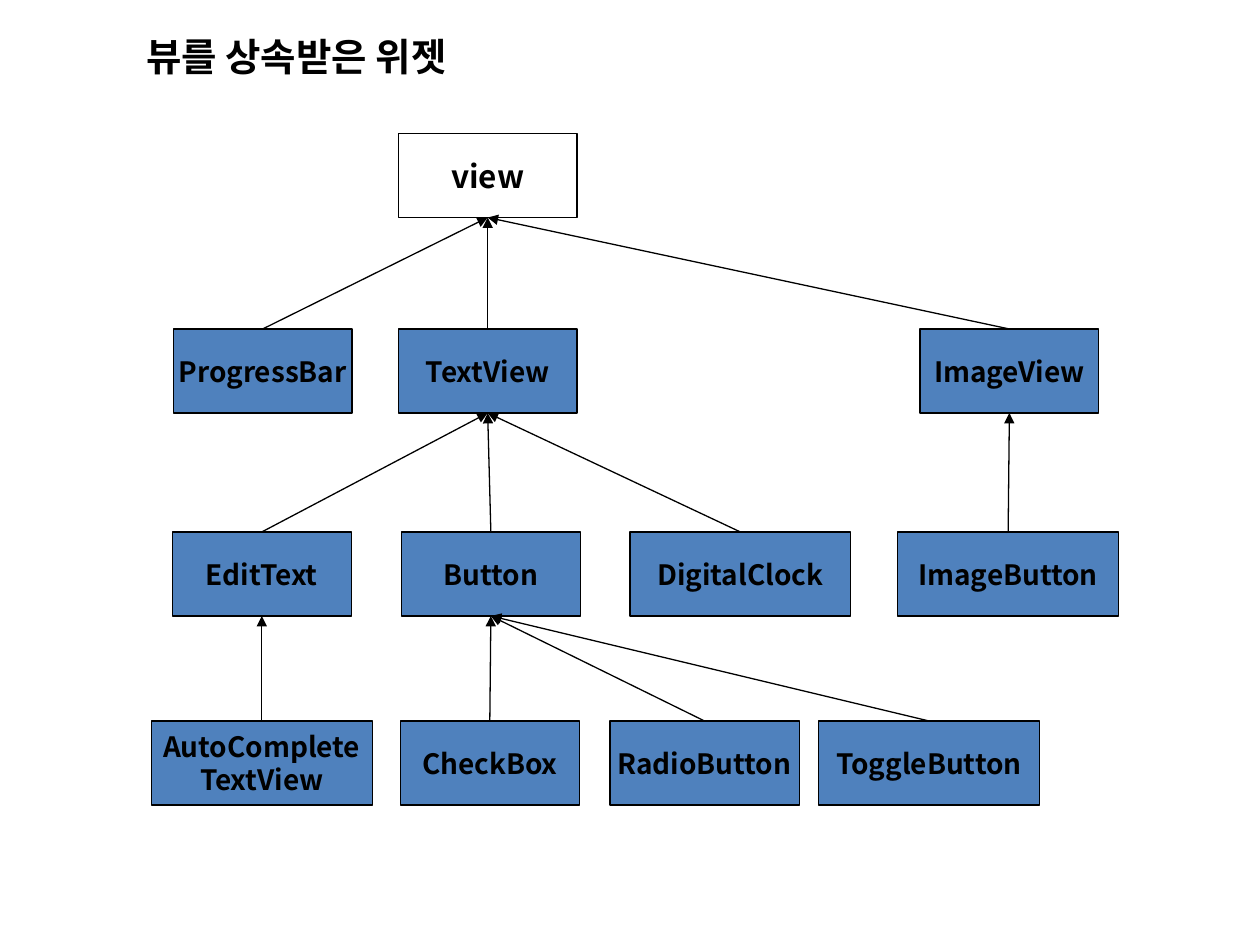
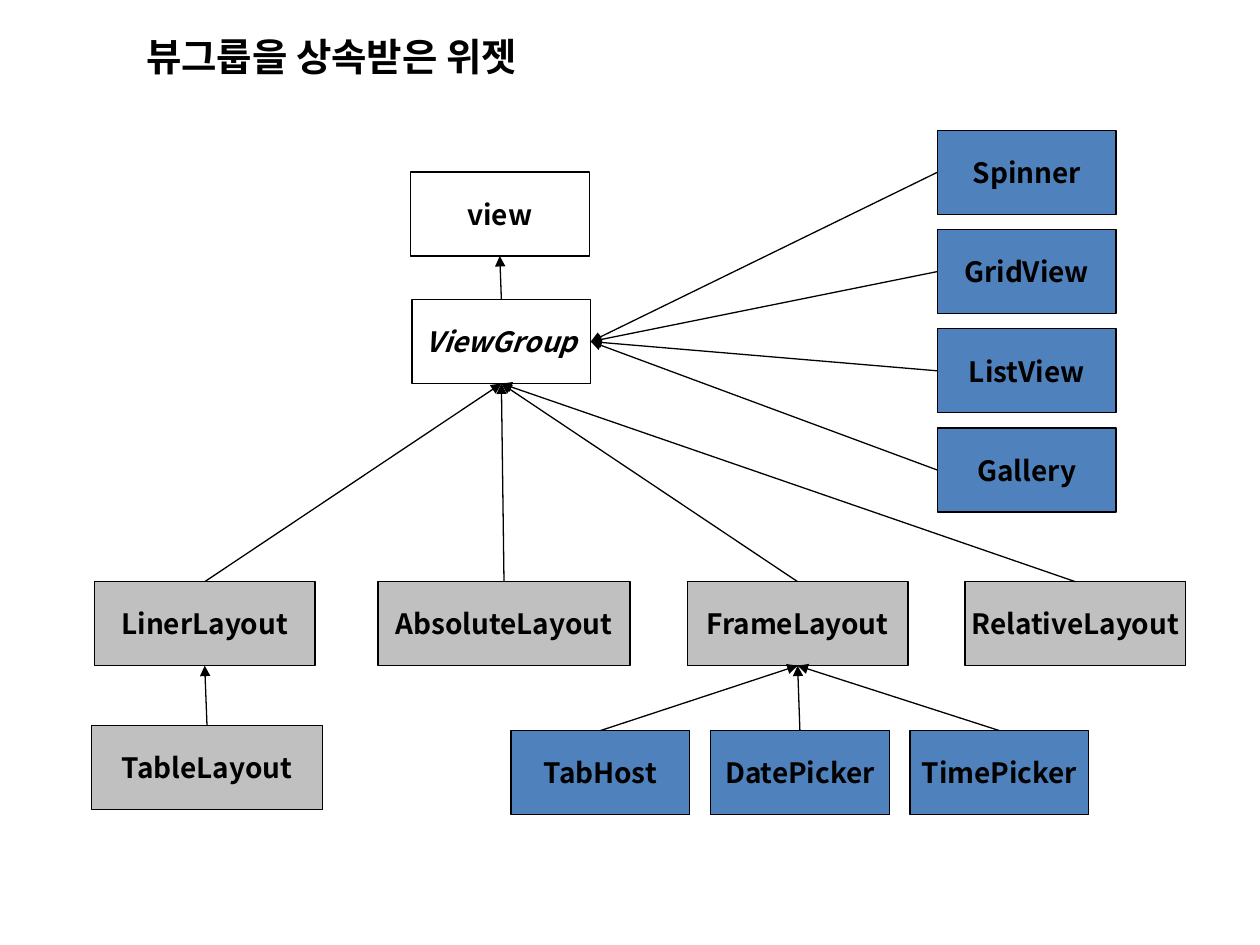
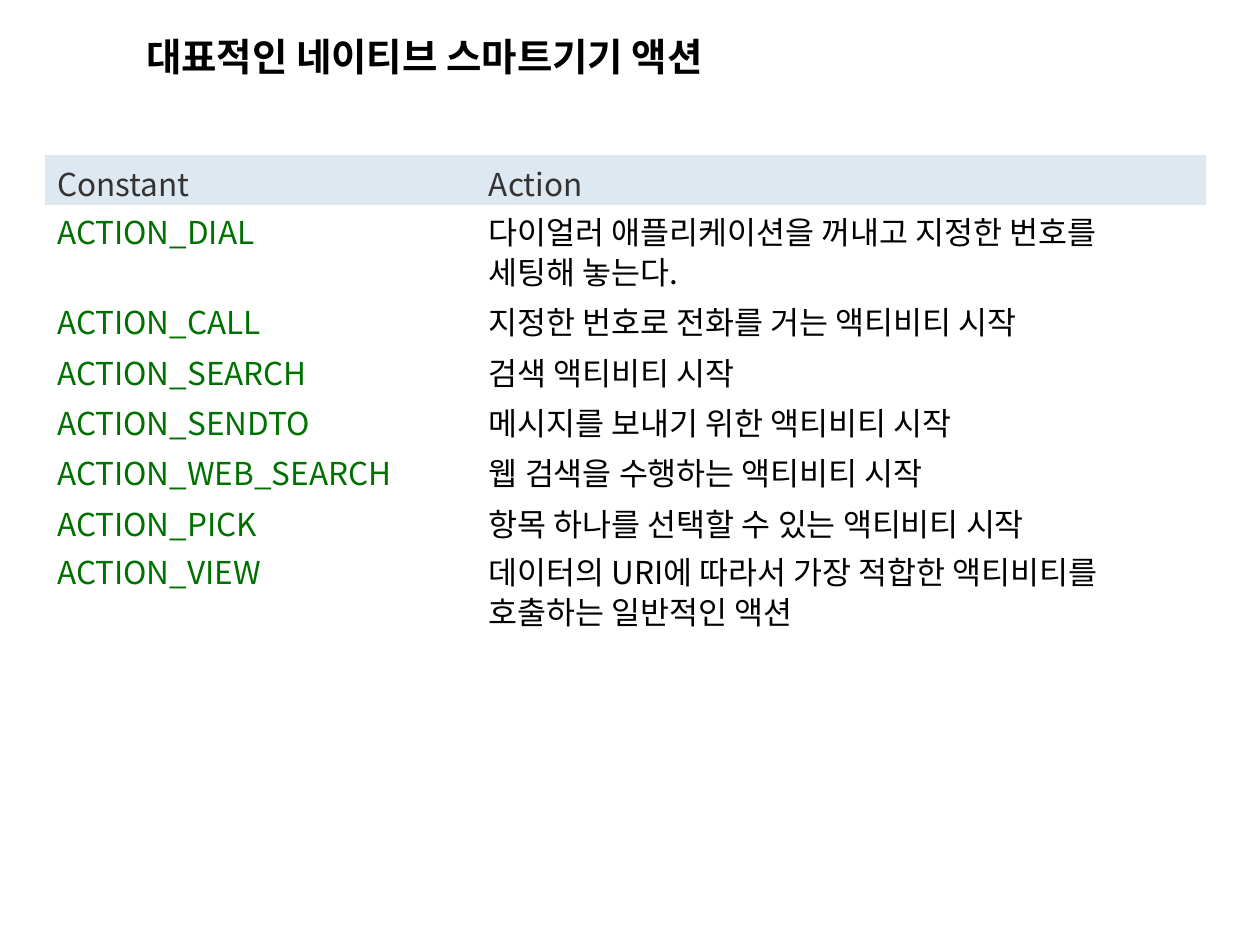
"""Build three slides: two widget inheritance diagrams and a table of actions."""
from dataclasses import dataclass
from typing import NamedTuple

from lxml.etree import SubElement
from pptx import Presentation
from pptx.dml.color import RGBColor
from pptx.enum.shapes import MSO_CONNECTOR, MSO_SHAPE
from pptx.enum.text import MSO_ANCHOR, MSO_AUTO_SIZE, PP_ALIGN
from pptx.oxml import parse_xml
from pptx.oxml.ns import nsdecls, qn
from pptx.util import Pt


@dataclass(frozen=True)
class Theme:
    font: str = "Noto Sans CJK KR"
    black: str = "000000"
    widget: str = "4F81BD"
    layout: str = "C0C0C0"
    header_fill: str = "DEE8F1"
    header_text: str = "333333"
    constant: str = "007000"
    title_size: float = 22
    root_size: float = 18
    box_size: float = 16
    table_size: float = 18
    table_line: float = 23
    line_width: float = 0.75


THEME = Theme()
TOP, LEFT, BOTTOM, RIGHT = range(4)
BOX_HEIGHT = 48
NARROW, MEDIUM, WIDE = 102.2, 108.2, 126.2


class Box(NamedTuple):
    text: str
    left: float
    top: float
    width: float = NARROW
    parent: str = ""
    fill: str = THEME.widget
    size: float = THEME.box_size
    italic: bool = False
    start_side: int = TOP
    end_side: int = BOTTOM


ROW1, ROW2, ROW3, ROW4 = 76.3, 188, 304, 412
VIEW_BOXES = [
    Box("view", 227.6, ROW1, fill="", size=THEME.root_size),
    Box("ProgressBar", 99, ROW2, parent="view"),
    Box("TextView", 227.6, ROW2, parent="view"),
    Box("ImageView", 525.7, ROW2, parent="view"),
    Box("EditText", 98.5, ROW3, parent="TextView"),
    Box("Button", 229.4, ROW3, parent="TextView"),
    Box("DigitalClock", 360, ROW3, WIDE, "TextView"),
    Box("ImageButton", 513, ROW3, WIDE, "ImageView"),
    Box("AutoComplete\nTextView", 86.5, ROW4, WIDE, "EditText"),
    Box("CheckBox", 228.8, ROW4, parent="Button"),
    Box("RadioButton", 348.5, ROW4, MEDIUM, "Button"),
    Box("ToggleButton", 467.8, ROW4, WIDE, "Button"),
]

LAYOUT_TOP, PICKER_TOP = 332.4, 417.5
GROUP_BOXES = [
    Box("view", 234.5, 98.3, fill=""),
    Box("ViewGroup", 235.4, 171.2, parent="view", fill="", italic=True),
    *(Box(name, 535.6, 74.5 + i * 56.7, parent="ViewGroup",
          start_side=LEFT, end_side=RIGHT)
      for i, name in enumerate(["Spinner", "GridView", "ListView", "Gallery"])),
    *(Box(name, left, LAYOUT_TOP, width, "ViewGroup", THEME.layout)
      for name, left, width in [("LinerLayout", 53.9, WIDE),
                                ("AbsoluteLayout", 216, 144),
                                ("FrameLayout", 392.7, WIDE),
                                ("RelativeLayout", 551.4, WIDE)]),
    Box("TableLayout", 52.3, 414.6, 132, "LinerLayout", THEME.layout),
    *(Box(name, 292 + i * 114, PICKER_TOP, parent="FrameLayout")
      for i, name in enumerate(["TabHost", "DatePicker", "TimePicker"])),
]


class Action(NamedTuple):
    constant: str
    meaning: str
    height: float = 28.8
    top_margin: float = 5.8


TALL_ROW = dict(height=50.4, top_margin=4.4)
ACTIONS = [
    Action("Constant", "Action"),
    Action("ACTION_DIAL", "다이얼러 애플리케이션을 꺼내고 지정한 번호를 세팅해 놓는다.", **TALL_ROW),
    Action("ACTION_CALL", "지정한 번호로 전화를 거는 액티비티 시작"),
    Action("ACTION_SEARCH", "검색 액티비티 시작"),
    Action("ACTION_SENDTO", "메시지를 보내기 위한 액티비티 시작"),
    Action("ACTION_WEB_SEARCH", "웹 검색을 수행하는 액티비티 시작"),
    Action("ACTION_PICK", "항목 하나를 선택할 수 있는 액티비티 시작"),
    Action("ACTION_VIEW", "데이터의 URI에 따라서 가장 적합한 액티비티를 호출하는 일반적인 액션",
           **TALL_ROW),
]
COLUMN_WIDTHS = (246.7, 416.7)


def add_run(p, text: str, size: float, color: str = THEME.black,
            bold: bool = False, italic: bool = False) -> None:
    r = p.add_run()
    r.text = text
    font = r.font
    font.size, font.bold, font.italic = Pt(size), bold, italic
    font.color.rgb = RGBColor.from_string(color)
    font.name = THEME.font


def add_titled_slide(prs, title: str):
    s = prs.slides.add_slide(prs.slide_layouts[5])
    sp = s.shapes.title
    sp.left, sp.top, sp.width, sp.height = Pt(76.3), Pt(15.1), Pt(420), Pt(33.8)
    tf = sp.text_frame
    tf.word_wrap = True
    tf.auto_size = MSO_AUTO_SIZE.NONE
    tf.vertical_anchor = MSO_ANCHOR.MIDDLE
    p = tf.paragraphs[0]
    p.alignment = PP_ALIGN.LEFT
    add_run(p, title, THEME.title_size, bold=True)
    return s


def add_box(s, box: Box):
    sp = s.shapes.add_shape(MSO_SHAPE.RECTANGLE, Pt(box.left), Pt(box.top),
                            Pt(box.width), Pt(BOX_HEIGHT))
    sp.shadow.inherit = False
    if box.fill:
        sp.fill.solid()
        sp.fill.fore_color.rgb = RGBColor.from_string(box.fill)
    else:
        sp.fill.background()
    sp.line.color.rgb = RGBColor.from_string(THEME.black)
    sp.line.width = Pt(THEME.line_width)
    tf = sp.text_frame
    tf.word_wrap = False
    tf.vertical_anchor = MSO_ANCHOR.MIDDLE
    for i, line in enumerate(box.text.split("\n")):
        p = tf.add_paragraph() if i else tf.paragraphs[0]
        p.alignment = PP_ALIGN.CENTER
        add_run(p, line, box.size, bold=True, italic=box.italic)
    return sp


def add_arrow(s, child, parent, start_side: int, end_side: int) -> None:
    cxn = s.shapes.add_connector(MSO_CONNECTOR.STRAIGHT, 0, 0, 0, 0)
    cxn.begin_connect(child, start_side)
    cxn.end_connect(parent, end_side)
    cxn.line.color.rgb = RGBColor.from_string(THEME.black)
    cxn.line.width = Pt(THEME.line_width)
    SubElement(cxn.line._get_or_add_ln(), qn("a:tailEnd"), type="triangle")
    SubElement(cxn._element.spPr, qn("a:effectLst"))


def add_diagram(prs, title: str, boxes: list[Box]) -> None:
    s = add_titled_slide(prs, title)
    shapes = {box.text: add_box(s, box) for box in boxes}
    for box in boxes:
        if box.parent:
            add_arrow(s, shapes[box.text], shapes[box.parent],
                      box.start_side, box.end_side)


def hide_borders(cell) -> None:
    tc_pr = cell._tc.get_or_add_tcPr()
    for i, side in enumerate(("lnL", "lnR", "lnT", "lnB")):
        tc_pr.insert(i, parse_xml(f'<a:{side} {nsdecls("a")} w="0"><a:noFill/></a:{side}>'))


def fill_cell(cell, text: str, color: str, fill: str, top_margin: float) -> None:
    if fill:
        cell.fill.solid()
        cell.fill.fore_color.rgb = RGBColor.from_string(fill)
    else:
        cell.fill.background()
    hide_borders(cell)
    cell.margin_top, cell.margin_bottom = Pt(top_margin), Pt(0)
    cell.margin_right = Pt(14)
    p = cell.text_frame.paragraphs[0]
    p.line_spacing = Pt(THEME.table_line)
    add_run(p, text, THEME.table_size, color)


def add_action_table(prs, title: str) -> None:
    s = add_titled_slide(prs, title)
    table = s.shapes.add_table(len(ACTIONS), len(COLUMN_WIDTHS), Pt(25.5), Pt(88.5),
                               Pt(sum(COLUMN_WIDTHS)),
                               Pt(sum(a.height for a in ACTIONS))).table
    table.first_row = table.horz_banding = False
    for column, width in zip(table.columns, COLUMN_WIDTHS):
        column.width = Pt(width)
    for i, (row, action) in enumerate(zip(table.rows, ACTIONS)):
        row.height = Pt(action.height)
        colors = (THEME.constant, THEME.black) if i else (THEME.header_text,) * 2
        fill = "" if i else THEME.header_fill
        for cell, text, color in zip(row.cells, (action.constant, action.meaning), colors):
            fill_cell(cell, text, color, fill, action.top_margin)


def main() -> None:
    prs = Presentation()
    prs.slide_width, prs.slide_height = Pt(720), Pt(540)
    add_diagram(prs, "뷰를 상속받은 위젯", VIEW_BOXES)
    add_diagram(prs, "뷰그룹을 상속받은 위젯", GROUP_BOXES)
    add_action_table(prs, "대표적인 네이티브 스마트기기 액션")
    prs.save("out.pptx")


if __name__ == "__main__":
    main()
